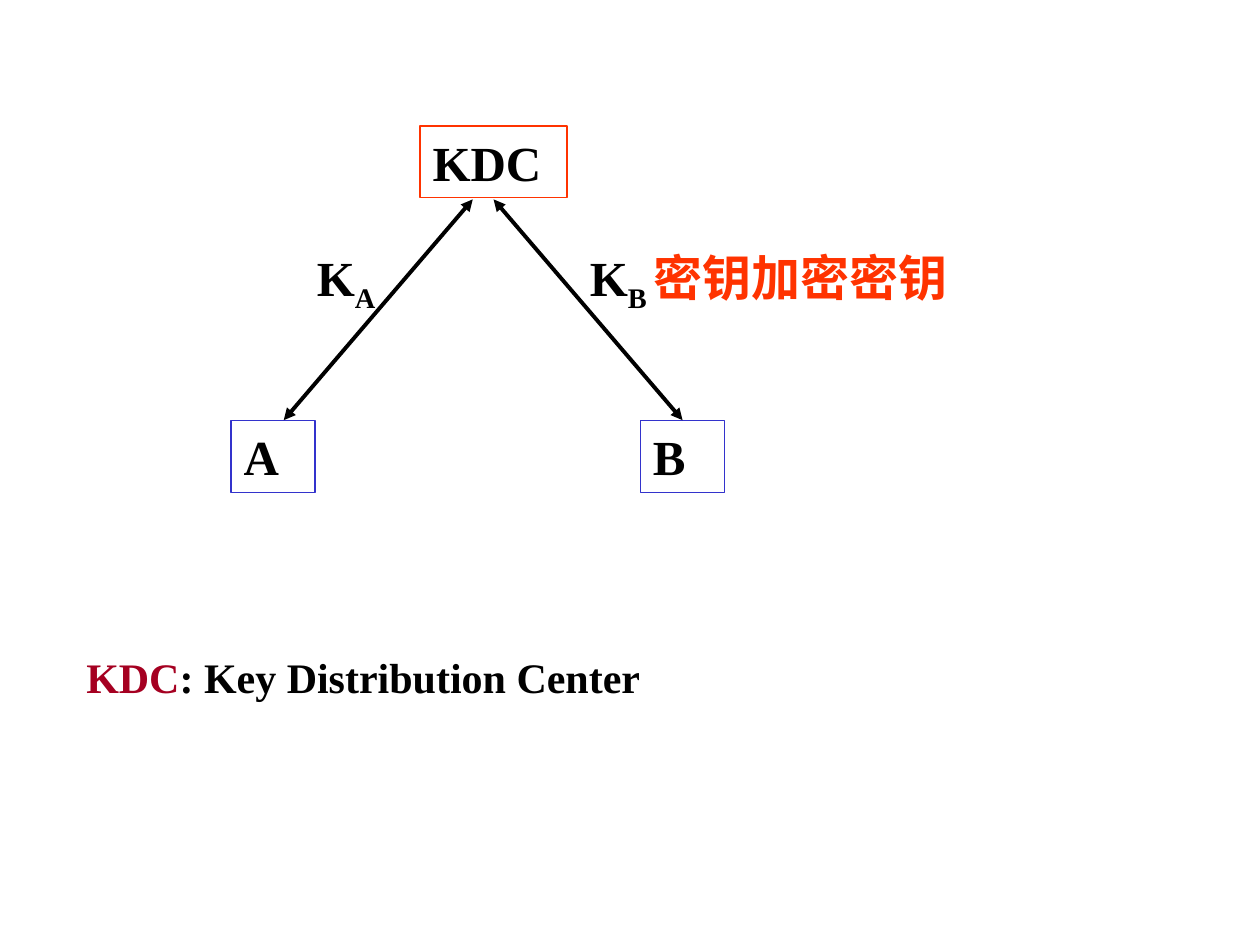
from pptx import Presentation
from pptx.dml.color import RGBColor
from pptx.enum import shapes, text
from pptx.oxml.ns import qn
from pptx.util import Cm, Pt
from lxml import etree

FONT = "Times New Roman"
BLACK, ORANGE, BLUE, CRIMSON = "000000", "FF3300", "3333CC", "A50021"

# Content: runs are (words, colour, is subscript); places are in cm
PARTIES = [  # name, outline, left, top, width
    ("KDC", ORANGE, 8.47, 2.54, 2.96),
    ("A", BLUE, 4.66, 8.48, 1.69),
    ("B", BLUE, 12.91, 8.48, 1.69),
]
PARTY_HEIGHT = 1.45

KEY_LABELS = [  # runs, left, width
    ([("K", BLACK, False), ("A", BLACK, True)], 6.14, 2.33),
    ([("K", BLACK, False), ("B ", BLACK, True),
      ("密钥加密密钥", ORANGE, False)], 11.64, 8.26),
]
KEY_TOP, KEY_HEIGHT = 4.87, 1.59

LEGEND = [("KDC", CRIMSON, False),
          (": Key Distribution Center", BLACK, False)]

# Key arrows mirror each other about one axis
ARROW_AXIS, ARROW_TOP, ARROW_BOTTOM = 9.74, 4.02, 8.47
ARROW_NEAR, ARROW_FAR = 0.21, 4.02


def rgb(code):
    return RGBColor.from_string(code)


def write(shape, runs, size=28, line_spacing=1.0):
    frame = shape.text_frame
    frame.word_wrap = True
    frame.vertical_anchor = text.MSO_ANCHOR.TOP
    paragraph = frame.paragraphs[0]
    paragraph.alignment = text.PP_ALIGN.LEFT
    paragraph.line_spacing = line_spacing
    for words, colour, subscript in runs:
        run = paragraph.add_run()
        run.text = words
        run.font.name = FONT
        run.font.size = Pt(size)
        run.font.bold = True
        run.font.color.rgb = rgb(colour)
        if subscript:
            run.font._element.set("baseline", "-25000")


def add_party(slide, name, outline, left, top, width):
    party = slide.shapes.add_shape(
        shapes.MSO_SHAPE.RECTANGLE,
        Cm(left), Cm(top), Cm(width), Cm(PARTY_HEIGHT))
    party.shadow.inherit = False
    party.fill.background()
    party.line.color.rgb = rgb(outline)
    party.line.width = Pt(0.75)
    write(party, [(name, BLACK, False)])


def add_key_arrow(slide, side):
    arrow = slide.shapes.add_connector(
        shapes.MSO_CONNECTOR.STRAIGHT,
        Cm(ARROW_AXIS + side * ARROW_NEAR), Cm(ARROW_TOP),
        Cm(ARROW_AXIS + side * ARROW_FAR), Cm(ARROW_BOTTOM))
    arrow.line.color.rgb = rgb(BLACK)
    arrow.line.width = Pt(2.25)
    outline = arrow.line._get_or_add_ln()
    for end in ("a:headEnd", "a:tailEnd"):
        etree.SubElement(outline, qn(end), type="triangle")
    etree.SubElement(arrow._element.spPr, qn("a:effectLst"))


def add_label(slide, runs, left, top, width, height, **style):
    label = slide.shapes.add_textbox(Cm(left), Cm(top), Cm(width), Cm(height))
    write(label, runs, **style)


def main():
    deck = Presentation()
    deck.slide_width, deck.slide_height = Cm(25.4), Cm(19.05)
    slide = deck.slides.add_slide(deck.slide_layouts[6])

    # Key centre and the two parties
    for party in PARTIES:
        add_party(slide, *party)

    # Shared keys: arrows, then their labels
    for side in (-1, 1):
        add_key_arrow(slide, side)
    for runs, left, width in KEY_LABELS:
        add_label(slide, runs, left, KEY_TOP, width, KEY_HEIGHT)

    # Legend
    add_label(slide, LEGEND, 1.49, 13.13, 21.61, 1.18,
              size=24, line_spacing=0.9)

    deck.save("out.pptx")


if __name__ == "__main__":
    main()
